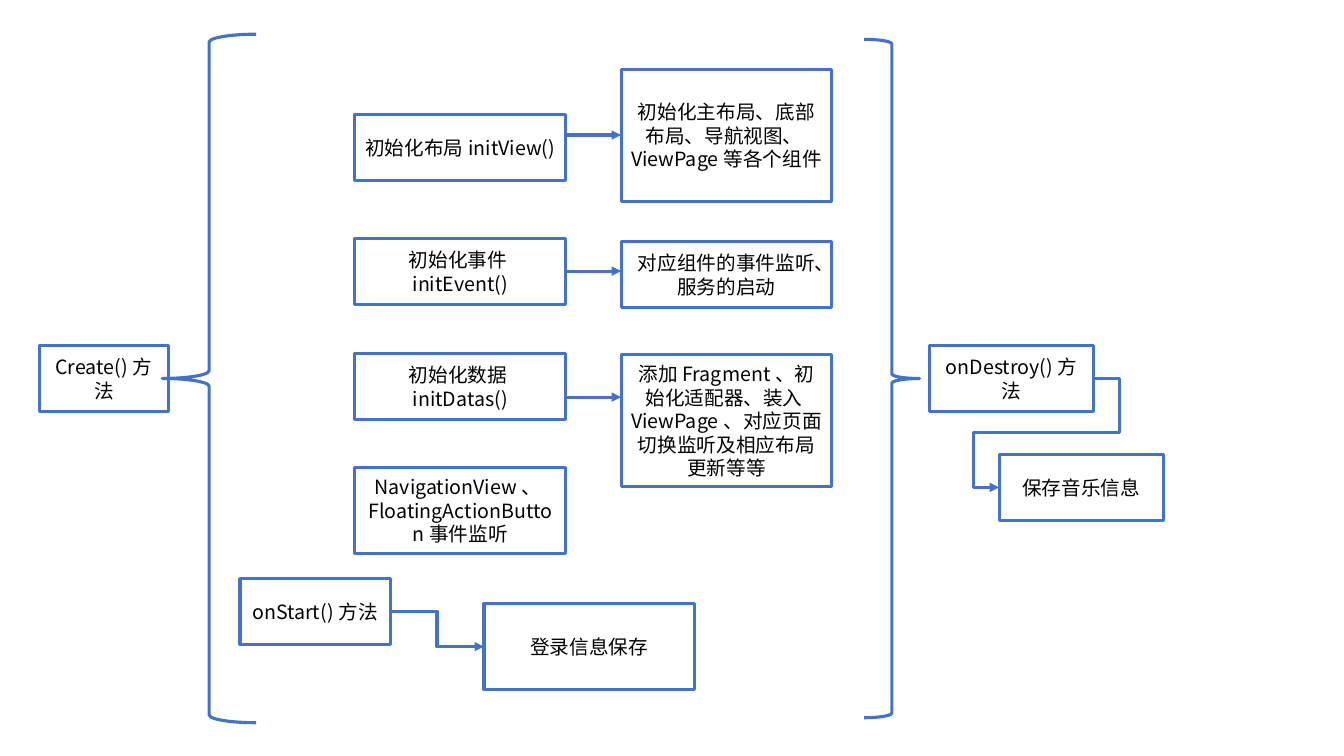
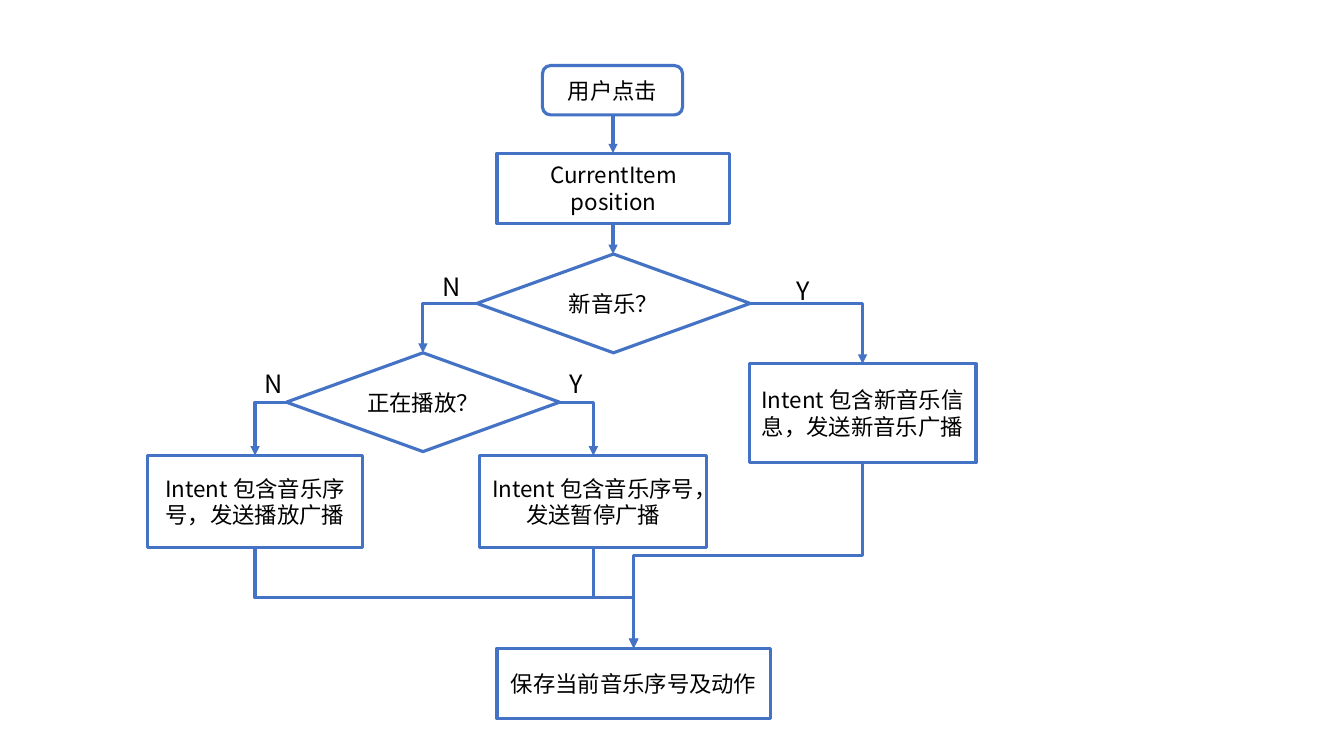
"""Builds two flowchart slides: an activity life cycle and a music click handler."""
from lxml import etree
from pptx import Presentation
from pptx.dml.color import RGBColor
from pptx.enum.shapes import MSO_CONNECTOR, MSO_SHAPE
from pptx.enum.text import MSO_ANCHOR, MSO_AUTO_SIZE, PP_ALIGN
from pptx.oxml.ns import qn
from pptx.util import Emu, Pt

RECT = MSO_SHAPE.RECTANGLE
ROUND = MSO_SHAPE.ROUNDED_RECTANGLE
DIAMOND = MSO_SHAPE.DIAMOND
BRACE = MSO_SHAPE.LEFT_BRACE
STRAIGHT = MSO_CONNECTOR.STRAIGHT
ELBOW = MSO_CONNECTOR.ELBOW
CENTER = PP_ALIGN.CENTER
LEFT = PP_ALIGN.LEFT
MIDDLE = MSO_ANCHOR.MIDDLE
FIT = MSO_AUTO_SIZE.SHAPE_TO_FIT_TEXT

SCALE = 9144
SITE_TOP, SITE_LEFT, SITE_BOTTOM, SITE_RIGHT = range(4)
COLORS = {"line": "4472C4", "fill": "FFFFFF", "text": "000000"}
FONT = "Noto Sans CJK SC"
LINE_WIDTH = 2.25


def px(n):
    return Emu(n * SCALE)


def color(name):
    return RGBColor.from_string(COLORS[name])


def write(tf, text, size=14, align=CENTER):
    tf.word_wrap = True
    for i, line in enumerate(text.split("\n")):
        p = tf.add_paragraph() if i else tf.paragraphs[0]
        p.alignment = align
        r = p.add_run()
        r.text = line
        r.font.size = Pt(size)
        r.font.name = FONT
        r.font.color.rgb = color("text")
        etree.SubElement(r.font._element, qn("a:ea"), typeface=FONT)


class Flowchart:
    def __init__(self, prs):
        self.prs = prs
        self.slide = None
        self.size = 14

    def new_slide(self, size):
        self.slide = self.prs.slides.add_slide(self.prs.slide_layouts[6])
        self.size = size

    def outline(self, s):
        s.line.color.rgb = color("line")
        s.line.width = Pt(LINE_WIDTH)

    def shape(self, kind, x, y, w, h):
        s = self.slide.shapes.add_shape(kind, px(x), px(y), px(w), px(h))
        s.shadow.inherit = False
        self.outline(s)
        return s

    def box(self, text, x, y, w, h, kind=RECT):
        s = self.shape(kind, x, y, w, h)
        s.fill.solid()
        s.fill.fore_color.rgb = color("fill")
        s.text_frame.vertical_anchor = MIDDLE
        write(s.text_frame, text, size=self.size)
        return s

    def brace(self, x, y, w, h, rotation=0):
        s = self.shape(BRACE, x, y, w, h)
        s.fill.background()
        s.rotation = rotation

    def label(self, text, x, y):
        s = self.slide.shapes.add_textbox(px(x), px(y), px(34), px(40))
        write(s.text_frame, text, size=18, align=LEFT)
        s.text_frame.auto_size = FIT

    def connector(self, kind, x1, y1, x2, y2):
        c = self.slide.shapes.add_connector(kind, px(x1), px(y1), px(x2), px(y2))
        self.outline(c)
        etree.SubElement(c.line._get_or_add_ln(), qn("a:tailEnd"), type="triangle")
        etree.SubElement(c.element.spPr, qn("a:effectLst"))
        return c

    def arrow(self, x1, y1, x2, y2):
        self.connector(STRAIGHT, x1, y1, x2, y2)

    def elbow(self, start, start_site, end, end_site, bends=3, adjust=()):
        c = self.connector(ELBOW, 0, 0, 0, 0)
        c.begin_connect(start, start_site)
        c.end_connect(end, end_site)
        geom = c.element.spPr.find(qn("a:prstGeom"))
        geom.set("prst", f"bentConnector{bends}")
        for i, value in enumerate(adjust, 1):
            etree.SubElement(geom.find(qn("a:avLst")), qn("a:gd"),
                             name=f"adj{i}", fmla=f"val {value}")
        if start_site == SITE_BOTTOM:
            self.turn_down(c)

    def turn_down(self, c):
        to_right = c.end_x > c.begin_x
        w, h = c.height, c.width
        c.left, c.top = c.left + (h - w) // 2, c.top + (w - h) // 2
        c.width, c.height = w, h
        xfrm = c.element.spPr.find(qn("a:xfrm"))
        xfrm.set("rot", str((270 if to_right else 90) * 60000))
        xfrm.set("flipH", "1" if to_right else "0")


def life_cycle(chart):
    chart.new_slide(size=14)
    step_x, detail_x, step_w = 352, 616, 209
    chart.box("Create()方法", 39, 343, 128, 65)
    for text, y, h in (
        ("初始化布局initView()", 114, 65),
        ("初始化事件initEvent()", 237, 65),
        ("初始化数据initDatas()", 351, 65),
        ("NavigationView、FloatingActionButton事件监听", 464, 85),
    ):
        chart.box(text, step_x, y, step_w, h)
    for text, y, h, arrow_y in (
        ("初始化主布局、底部布局、导航视图、ViewPage等各个组件", 69, 131, 134),
        ("对应组件的事件监听、\n服务的启动", 240, 65, 269),
        ("添加Fragment、初始化适配器、装入ViewPage、对应页面切换监听及相应布局更新等等",
         352, 131, 394),
    ):
        chart.box(text, detail_x, y, step_w, h)
        chart.arrow(step_x + step_w, arrow_y, detail_x, arrow_y)
    on_start = chart.box("onStart()方法", 238, 574, 149, 65)
    login = chart.box("登录信息保存", 480, 599, step_w, 85)
    on_destroy = chart.box("onDestroy()方法", 922, 343, 163, 65)
    save = chart.box("保存音乐信息", 991, 451, 163, 65)
    chart.brace(161, 34, 93, 683)
    chart.brace(857, 39, 55, 673, rotation=180)
    chart.elbow(on_start, SITE_RIGHT, login, SITE_LEFT)
    chart.elbow(on_destroy, SITE_RIGHT, save, SITE_LEFT,
                bends=5, adjust=(-26600, 50000, 126600))


def music_click(chart):
    chart.new_slide(size=16)
    chart.box("用户点击", 538, 65, 139, 49, ROUND)
    chart.box("CurrentItem position", 493, 152, 231, 70)
    is_new = chart.box("新音乐？", 473, 252, 271, 98, DIAMOND)
    is_playing = chart.box("正在播放？", 284, 350, 271, 98, DIAMOND)
    send_new = chart.box("Intent包含新音乐信息，发送新音乐广播", 743, 361, 225, 98)
    send_play = chart.box("Intent包含音乐序号，发送播放广播", 146, 452, 214, 91)
    send_pause = chart.box("Intent包含音乐序号，发送暂停广播", 476, 452, 225, 91)
    save = chart.box("保存当前音乐序号及动作", 493, 643, 271, 70)
    for top, bottom in ((115, 152), (222, 252)):
        chart.arrow(608, top, 608, bottom)
    for test, no, yes in ((is_new, is_playing, send_new),
                          (is_playing, send_play, send_pause)):
        chart.elbow(test, SITE_LEFT, no, SITE_TOP, bends=2)
        chart.elbow(test, SITE_RIGHT, yes, SITE_TOP, bends=2)
    for action in (send_play, send_pause, send_new):
        chart.elbow(action, SITE_BOTTOM, save, SITE_TOP)
    for text, x, y in (("Y", 780, 268), ("N", 429, 264),
                       ("Y", 555, 360), ("N", 253, 360)):
        chart.label(text, x, y)


def main():
    prs = Presentation()
    prs.slide_width, prs.slide_height = px(1333), px(750)
    chart = Flowchart(prs)
    life_cycle(chart)
    music_click(chart)
    prs.save("out.pptx")


if __name__ == "__main__":
    main()
